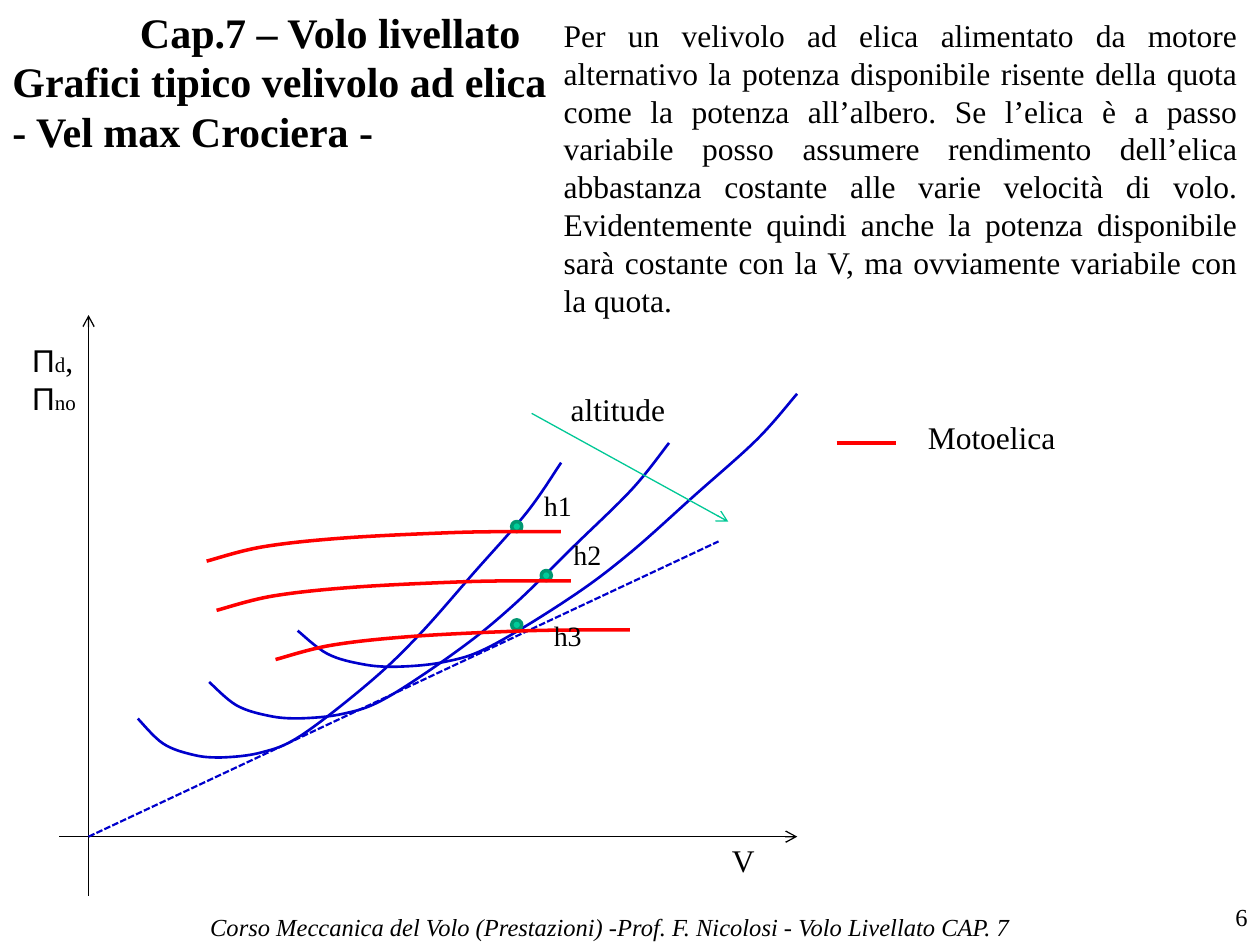
from pptx import Presentation
from pptx.dml.color import RGBColor
from pptx.enum import dml, shapes, text
from pptx.oxml import ns
from pptx.util import Pt
from lxml import etree

FONT = "Times New Roman"
COLORS = {
    "ink": "000000", "required": "0000CC", "available": "FF0000",
    "dot": "00CC99", "dot_edge": "009771", "altitude": "00C896",
}

# Curve knots, in percent of the curve's box
REQUIRED = [(0, 86.8), (6, 95.3), (13.1, 99.1), (19.6, 100), (29.2, 98.3),
            (38.4, 92.7), (54.2, 75.2), (66.1, 59), (79.5, 37.2), (92, 16.7), (100, 0)]
AVAILABLE = [(100, 0), (86.8, 0), (68.3, 4), (38.4, 22), (15.7, 52), (0, 100)]


def color(name):
    return RGBColor.from_string(COLORS[name])


def style_font(font, size, name=FONT, bold=False, italic=False):
    font.name, font.size, font.bold, font.italic = name, Pt(size), bold, italic
    font.color.rgb = color("ink")


def add_text(slide, box, lines, size, align=text.PP_ALIGN.LEFT, wrap=False, **style):
    """Add a text box; each line is a string or a list of (text, font, size)."""
    frame = slide.shapes.add_textbox(*map(Pt, box)).text_frame
    frame.word_wrap = wrap
    for index, line in enumerate(lines):
        paragraph = frame.add_paragraph() if index else frame.paragraphs[0]
        paragraph.alignment = align
        if isinstance(line, str):
            paragraph.text = line
            style_font(paragraph.font, size, **style)
        else:
            for words, name, run_size in line:
                run = paragraph.add_run()
                run.text = words
                style_font(run.font, run_size, name)


def add_line(slide, start, end, name, width, arrow=False, dashed=False):
    line = slide.shapes.add_connector(
        shapes.MSO_CONNECTOR.STRAIGHT, *map(Pt, (*start, *end)))
    line.line.color.rgb = color(name)
    line.line.width = Pt(width)
    if dashed:
        line.line.dash_style = dml.MSO_LINE.SQUARE_DOT
    properties = line._element.spPr
    if arrow:
        outline = properties.find(ns.qn("a:ln"))
        etree.SubElement(outline, ns.qn("a:tailEnd"), type="arrow")
    etree.SubElement(properties, ns.qn("a:effectLst"))


def control_points(knots):
    """Return two handles and an end for each Bezier segment through the knots."""
    def handle(knot, before, after, share):
        return tuple(min(100, max(0, k + share * (a - b) / 6))
                     for k, b, a in zip(knot, before, after))

    padded = [knots[0], *knots, knots[-1]]
    points = []
    for a, b, c, d in zip(padded, padded[1:], padded[2:], padded[3:]):
        points += [handle(b, a, c, 1), handle(c, b, d, -1), c]
    return points


def add_curve(slide, box, knots, name, width):
    left, top, box_width, box_height = box
    points = [(Pt(left + x * box_width / 100), Pt(top + y * box_height / 100))
              for x, y in [knots[0], *control_points(knots)]]
    builder = slide.shapes.build_freeform(*points[0])
    builder.add_line_segments(points[1:], close=False)
    curve = builder.convert_to_shape()

    # Each three straight steps become one Bezier segment
    steps = list(curve._element.iter(ns.qn("a:lnTo")))
    for first in range(0, len(steps), 3):
        segment = etree.Element(ns.qn("a:cubicBezTo"))
        steps[first].addprevious(segment)
        for step in steps[first:first + 3]:
            segment.append(step[0])
            step.getparent().remove(step)

    curve.shadow.inherit = False
    curve.fill.background()
    curve.line.color.rgb = color(name)
    curve.line.width = Pt(width)


def add_dot(slide, left, top, size=5.76):
    dot = slide.shapes.add_shape(
        shapes.MSO_SHAPE.OVAL, Pt(left), Pt(top), Pt(size), Pt(size))
    dot.shadow.inherit = False
    dot.fill.solid()
    dot.fill.fore_color.rgb = color("dot")
    dot.line.color.rgb = color("dot_edge")
    dot.line.width = Pt(2)


def add_heading(slide, left, top, width):
    title = slide.shapes.title
    title.left, title.top, title.width, title.height = map(Pt, (left, top, width, 36))
    frame = title.text_frame
    frame.text = "Cap.7 – Volo livellato"
    frame.vertical_anchor = text.MSO_ANCHOR.MIDDLE
    frame.auto_size = text.MSO_AUTO_SIZE.NONE
    frame.paragraphs[0].alignment = text.PP_ALIGN.CENTER
    style_font(frame.paragraphs[0].font, 24, bold=True)
    add_text(slide, (left, top + 28, 322.6, 65.5),
             ["Grafici tipico velivolo ad elica", "- Vel max Crociera -"], 24, bold=True)


def add_graph(slide, left, top):
    def at(x, y):
        return left + x, top + y

    # Axes and their names
    add_line(slide, at(33.75, 298.1), at(455.6, 298.1), "ink", 0.75, arrow=True)
    add_line(slide, at(50.6, 331.9), at(50.6, 0), "ink", 0.75, arrow=True)
    add_text(slide, (*at(411.2, 297), 27.4, 28.8), ["V"], 18)
    add_text(slide, (*at(11.3, 11.3), 44, 51),
             [[("Π", "Arial", 18), ("d", FONT, 12), (",", FONT, 18)],
              [("Π", "Arial", 18), ("no", FONT, 12)]], 18)

    # Power required at each altitude, and their common tangent
    for x, y, width, height in [(78.75, 84.4, 241.9, 168.5), (119.5, 73.1, 262.8, 157.4),
                                (170.1, 45, 285.4, 156)]:
        add_curve(slide, (*at(x, y), width, height), REQUIRED, "required", 1.5)
    add_line(slide, at(50.6, 298.1), at(410.6, 129.4), "required", 1.25, dashed=True)

    # Power available, meeting point and altitude name
    levels = [("h1", (118.1, 123.8), (292.4, 118), (303.8, 95.8)),
              ("h2", (123.8, 151.9), (309.3, 146), (320.6, 123.8)),
              ("h3", (157.5, 180), (292.4, 174.2), (309.4, 170.2))]
    for name, curve, dot, label in levels:
        add_dot(slide, *at(*dot))
        add_curve(slide, (*at(*curve), 202.5, 16.9), AVAILABLE, "available", 2)
        add_text(slide, (*at(*label), 31, 26.6), [name], 16)

    # Direction of growing altitude
    add_line(slide, at(303.8, 56.2), at(416.2, 118.1), "altitude", 0.75, arrow=True)
    add_text(slide, (*at(319, 39.6), 69, 28.8), ["altitude"], 18)


def add_legend(slide, left, top):
    add_line(slide, (left, top + 17.8), (left + 33.8, top + 17.8), "available", 2)
    add_text(slide, (left + 45, top, 88.6, 28.8), ["Motoelica"], 18)


def add_footer(slide, top):
    add_text(slide, (570, top, 150, 28), ["6"], 14, text.PP_ALIGN.RIGHT, wrap=True)
    add_text(slide, (106.9, top + 5.8, 483.8, 22.3),
             ["Corso Meccanica del Volo (Prestazioni) -Prof. F. Nicolosi - "
              "Volo Livellato CAP. 7"],
             14, text.PP_ALIGN.CENTER, wrap=True, italic=True)


def main():
    presentation = Presentation()
    presentation.slide_width, presentation.slide_height = Pt(720), Pt(540)
    slide = presentation.slides.add_slide(presentation.slide_layouts[5])
    add_heading(slide, 0, 0, 377.3)
    add_text(slide, (315, 5.6, 399.4, 181.4), [
        "Per un velivolo ad elica alimentato da motore alternativo la potenza "
        "disponibile risente della quota come la potenza all’albero. Se l’elica è a "
        "passo variabile posso assumere rendimento dell’elica abbastanza costante alle "
        "varie velocità di volo. Evidentemente quindi anche la potenza disponibile sarà "
        "costante con la V, ma ovviamente variabile con la quota. "],
        18, text.PP_ALIGN.JUSTIFY, wrap=True)
    add_graph(slide, 0, 180)
    add_legend(slide, 478.1, 235.4)
    add_footer(slide, 512)
    presentation.save("out.pptx")


if __name__ == "__main__":
    main()
